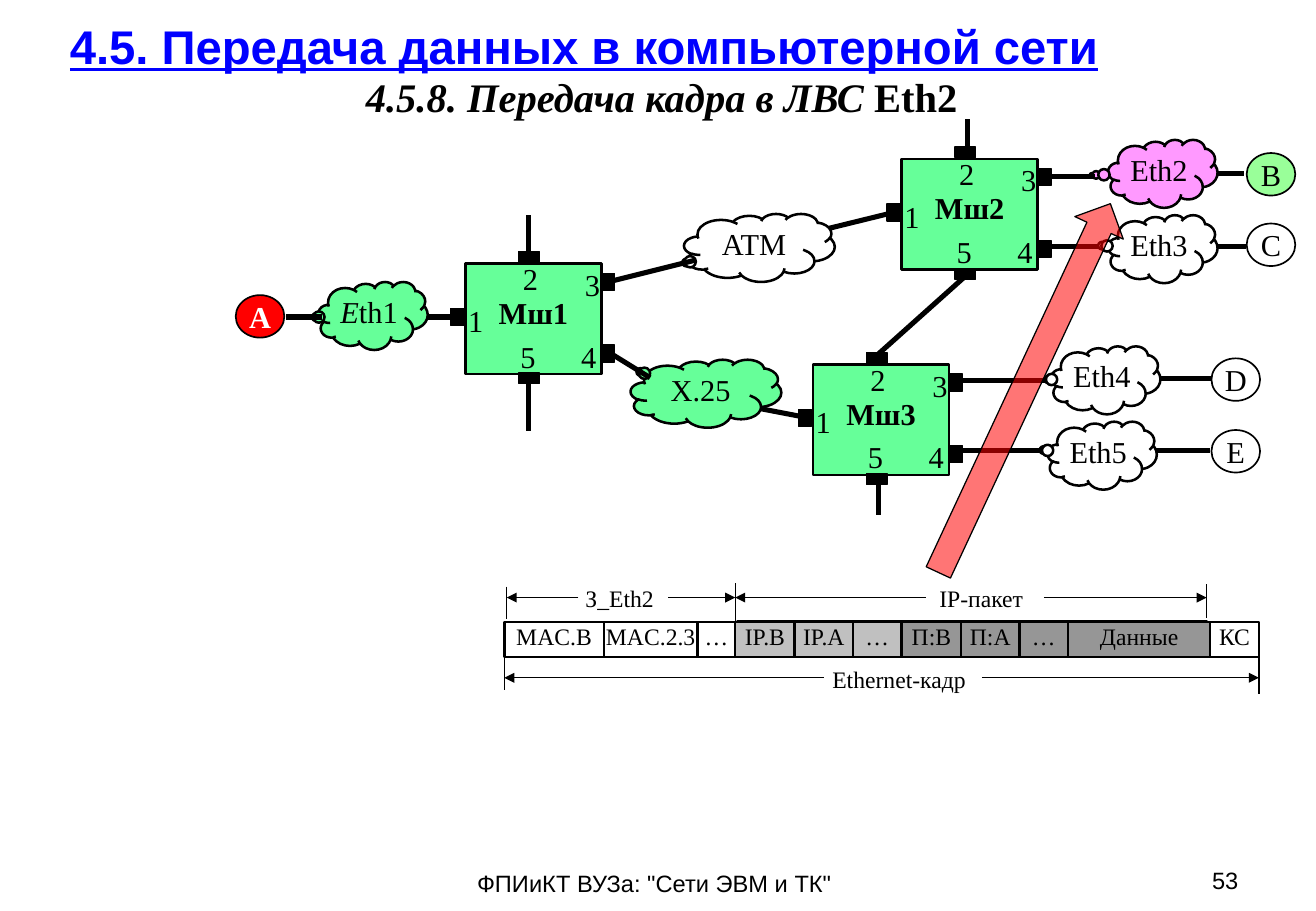
"""Builds the slide on forwarding a frame in the Eth2 local network."""
from dataclasses import dataclass

from lxml.etree import SubElement
from pptx import Presentation
from pptx.dml.color import RGBColor
from pptx.enum.shapes import MSO_CONNECTOR as Connector, MSO_SHAPE as Preset
from pptx.enum.text import MSO_ANCHOR as Anchor, PP_ALIGN as Align
from pptx.oxml.ns import qn
from pptx.util import Inches, Pt


@dataclass(frozen=True)
class Theme:
    """Colours, fonts and sizes of the slide."""
    ink: str = "000000"
    paper: str = "FFFFFF"
    title: str = "0000FF"
    route: str = "66FF99"
    target: str = "FF99FF"
    receiver: str = "99FF99"
    alert: str = "FF0000"
    packet: str = "C0C0C0"
    segment: str = "969696"
    sans: str = "Arial"
    serif: str = "Times New Roman"
    title_size: int = 28
    subtitle_size: int = 24
    label_size: int = 18
    small_size: int = 14
    outline: float = 1.5
    thin: float = 0.75
    cable: float = 3


class SlideBuilder:
    """Draws elements on a grid of tenth-inch columns and rows."""

    def __init__(self, slide, theme):
        """Keeps the current slide and its style."""
        self.slide, self.theme = slide, theme

    def units(self, *cells):
        """Turns grid cells into lengths."""
        return [Inches(cell / 10) for cell in cells]

    def add_runs(self, frame, runs, size, font=None, color=None, align=Align.CENTER):
        """Puts (text, styles) runs into the first paragraph."""
        frame.word_wrap = True
        paragraph = frame.paragraphs[0]
        paragraph.alignment = align
        for text, styles in runs:
            run = paragraph.add_run()
            run.text = text
            run.font.name, run.font.size = font or self.theme.serif, Pt(size)
            run.font.color.rgb = RGBColor.from_string(color or self.theme.ink)
            run.font.bold, run.font.italic = "b" in styles, "i" in styles
            run.font.underline = "u" in styles

    def inset(self, frame, top=0):
        """Clears the frame margins except the top one."""
        frame.margin_left = frame.margin_right = frame.margin_bottom = 0
        frame.margin_top = self.units(top)[0]

    def title(self, box, text):
        """Places and formats the title placeholder."""
        shape = self.slide.shapes.title
        shape.left, shape.top, shape.width, shape.height = self.units(*box)
        shape.text_frame.vertical_anchor = Anchor.MIDDLE
        self.add_runs(shape.text_frame, [(text, "bu")], self.theme.title_size,
                      self.theme.sans, self.theme.title)

    def text(self, box, runs, size, tight=False, **style):
        """Adds a text box."""
        frame = self.slide.shapes.add_textbox(*self.units(*box)).text_frame
        if tight:
            self.inset(frame)
        self.add_runs(frame, runs, size, **style)

    def shape(self, preset, box, fill=None, line=None, runs=(), size=None, top=0,
              anchor=Anchor.TOP, color=None):
        """Adds a preset shape with optional text."""
        shape = self.slide.shapes.add_shape(preset, *self.units(*box))
        shape.shadow.inherit = False
        if fill:
            shape.fill.solid()
            shape.fill.fore_color.rgb = RGBColor.from_string(fill)
        else:
            shape.fill.background()
        shape.line.color.rgb = RGBColor.from_string(self.theme.ink)
        shape.line.width = Pt(line or self.theme.outline)
        if runs:
            self.inset(shape.text_frame, top)
            shape.text_frame.vertical_anchor = anchor
            self.add_runs(shape.text_frame, runs, size or self.theme.label_size, color=color)
        return shape

    def line(self, ends, width=None, arrow=False):
        """Adds a straight line, with an arrowhead at its end if asked."""
        line = self.slide.shapes.add_connector(Connector.STRAIGHT, *self.units(*ends))
        line.line.color.rgb = RGBColor.from_string(self.theme.ink)
        line.line.width = Pt(width or self.theme.cable)
        properties = line._element.spPr
        if arrow:
            SubElement(properties.find(qn("a:ln")), qn("a:tailEnd"), type="triangle")
        SubElement(properties, qn("a:effectLst"))

    def router(self, left, top, name):
        """Adds a router with five numbered ports."""
        theme = self.theme
        self.shape(Preset.RECTANGLE, (left, top, 11.2, 9.1), theme.route,
                   runs=[(name, "b")], top=2.5)
        numbers = [(-0.2, 3.2), (4.3, -0.3), (9.4, 0.2), (9.1, 6.1), (4.1, 6.1)]
        for number, (x, y) in enumerate(numbers, 1):
            self.text((left + x, top + y, 2.1, 2.5), [(str(number), "")],
                      theme.label_size, tight=True)
        flat, upright = (1.7, 0.9), (1.1, 1.4)
        ports = [(-1.2, 3.7, upright), (4.4, -1, flat), (11.2, 0.8, upright),
                 (11.2, 6.7, upright), (4.4, 9, flat)]
        for x, y, extent in ports:
            self.shape(Preset.RECTANGLE, (left + x, top + y, *extent), theme.ink, theme.thin)

    def host(self, left, top, name, fill, color=None, styles=""):
        """Adds a round host."""
        self.shape(Preset.OVAL, (left, top, 4, 3.5), fill, 1, [(name, styles)],
                   anchor=Anchor.MIDDLE, color=color)

    def cloud(self, left, top, width, runs, fill, tip):
        """Adds a network cloud whose tail ends at the tip."""
        cloud = self.shape(Preset.CLOUD_CALLOUT, (left, top, width, 5.6), fill,
                           runs=runs, top=0.1)
        cloud.adjustments[0], cloud.adjustments[1] = tip

    def arrow(self, box, angle, opacity):
        """Adds a turned translucent block arrow."""
        arrow = self.shape(Preset.UP_ARROW, box, self.theme.alert, self.theme.thin)
        arrow.rotation = angle
        color = arrow._element.spPr.find(qn("a:solidFill"))[0]
        SubElement(color, qn("a:alpha"), val=str(opacity * 1000))

    def dimension(self, left, right, row, gap, name):
        """Adds a dimension line broken by its name."""
        start, end = gap
        for inner, outer in ((start, left), (end, right)):
            self.line((inner, row, outer, row), self.theme.thin, arrow=True)
        self.text((start - 0.3, row - 1.1, end - start, 2.8), [(name, "")],
                  self.theme.small_size, tight=True)

    def frame(self, left, top, fields):
        """Adds adjoining frame fields."""
        for name, width, fill in fields:
            self.shape(Preset.RECTANGLE, (left, top, width, 2.9), fill,
                       runs=[(name, "")], size=self.theme.small_size)
            left += width


theme = Theme()
presentation = Presentation()
presentation.slide_width, presentation.slide_height = Inches(10.83), Inches(7.5)
slide = presentation.slides.add_slide(presentation.slide_layouts[5])
builder = SlideBuilder(slide, theme)

builder.title((3.5, 0.5, 89.1, 6.5), "4.5. Передача данных в компьютерной сети")
builder.text((15.8, 5.4, 77.3, 5), [("4.5.8. Передача кадра в ЛВС ", "bi"), ("Eth2", "b")],
             theme.subtitle_size)
builder.text((36.7, 71, 34.3, 2.9), [('ФПИиКТ ВУЗа: "Сети ЭВМ и ТК"', "")],
             theme.small_size, font=theme.sans)
builder.text((77.6, 70.8, 25.3, 2.8), [("53", "")], theme.small_size,
             font=theme.sans, align=Align.RIGHT)

links_behind = [
    (61.3, 33.4, 66.5, 34.4), (33.4, 26.1, 37.7, 26.1), (66.6, 19.2, 73.5, 17.5),
    (79.6, 22.6, 72, 29.4), (78.6, 31.3, 87.1, 31.3), (95, 31.2, 99.8, 31.2),
    (78.5, 37.1, 86.9, 37.1), (94.7, 37.1, 99.6, 37.1), (99.5, 14.3, 102.4, 14.3),
    (86, 20.3, 91.2, 20.3), (99.1, 20.3, 102.5, 20.3), (43.5, 21, 43.5, 17.7),
    (43.5, 31.3, 43.5, 35.5), (79.6, 9.8, 79.6, 12.4), (72.3, 39.6, 72.3, 42.4)]
links_in_front = [(50.1, 23.2, 57.3, 21.4), (23.5, 26.1, 26.5, 26.1),
                  (50.1, 29, 53.5, 31.1), (86.1, 14.5, 90.1, 14.5)]
for link in links_behind:
    builder.line(link)
for router in [(38.3, 21.7, "Мш1"), (74.2, 13.1, "Мш2"), (66.9, 30, "Мш3")]:
    builder.router(*router)
builder.host(19.4, 24.3, "А", theme.alert, theme.paper, "b")
for left, top, name, fill in [(102.6, 12.6, "B", theme.receiver), (102.6, 18.4, "C", theme.paper),
                              (99.7, 29.5, "D", theme.paper), (99.7, 35.4, "E", theme.paper)]:
    builder.host(left, top, name, fill)
clouds = [
    (56.3, 17.6, 12.4, [("ATM", "")], theme.paper, (-0.49, 0.22)),
    (26.2, 23.2, 9, [("E", "i"), ("th1", "")], theme.route, (-0.52, 0.02)),
    (51.9, 29.6, 12.4, [("Х.25", "")], theme.route, (-0.44, -0.32)),
    (91.2, 11.5, 9, [("Eth2", "")], theme.target, (-0.65, 0.02)),
    (91.2, 17.7, 9, [("Eth3", "")], theme.paper, (-0.57, -0.05)),
    (86.5, 28.5, 9, [("Eth4", "")], theme.paper, (-0.52, -0.01)),
    (86.2, 34.7, 9, [("Eth5", "")], theme.paper, (-0.54, -0.08))]
for cloud in clouds:
    builder.cloud(*cloud)
for link in links_in_front:
    builder.line(link)
builder.arrow((82.1, 15.2, 4.4, 33.5), 25, 54)

for column, top, bottom in [(41.7, 48.3, 51), (60.5, 48, 51.1), (99.3, 48.1, 50.9),
                            (41.5, 54.1, 56.8), (103.6, 54.1, 57.1)]:
    builder.line((column, top, column, bottom), theme.thin)
builder.dimension(41.7, 60.5, 49.2, (47.6, 55), "З_Eth2")
builder.dimension(60.5, 99.3, 49.2, (76.2, 85.9), "IP-пакет")
builder.dimension(41.5, 103.6, 55.8, (67.8, 80.8), "Ethernet-кадр")
builder.shape(Preset.RECTANGLE, (60.7, 51.2, 38.6, 2.8), line=2.25)
builder.frame(41.5, 51.2, [
    ("MAC.В", 8.2, theme.paper), ("MAC.2.3", 7.7, theme.paper), ("…", 3.1, theme.paper),
    ("IP.В", 4.9, theme.packet), ("IP.А", 4.8, theme.packet), ("…", 4, theme.packet),
    ("П:В", 4.9, theme.segment), ("П:А", 4.8, theme.segment), ("…", 4, theme.segment),
    ("Данные", 11.7, theme.segment), ("КС", 4, theme.paper)])

presentation.save("out.pptx")
